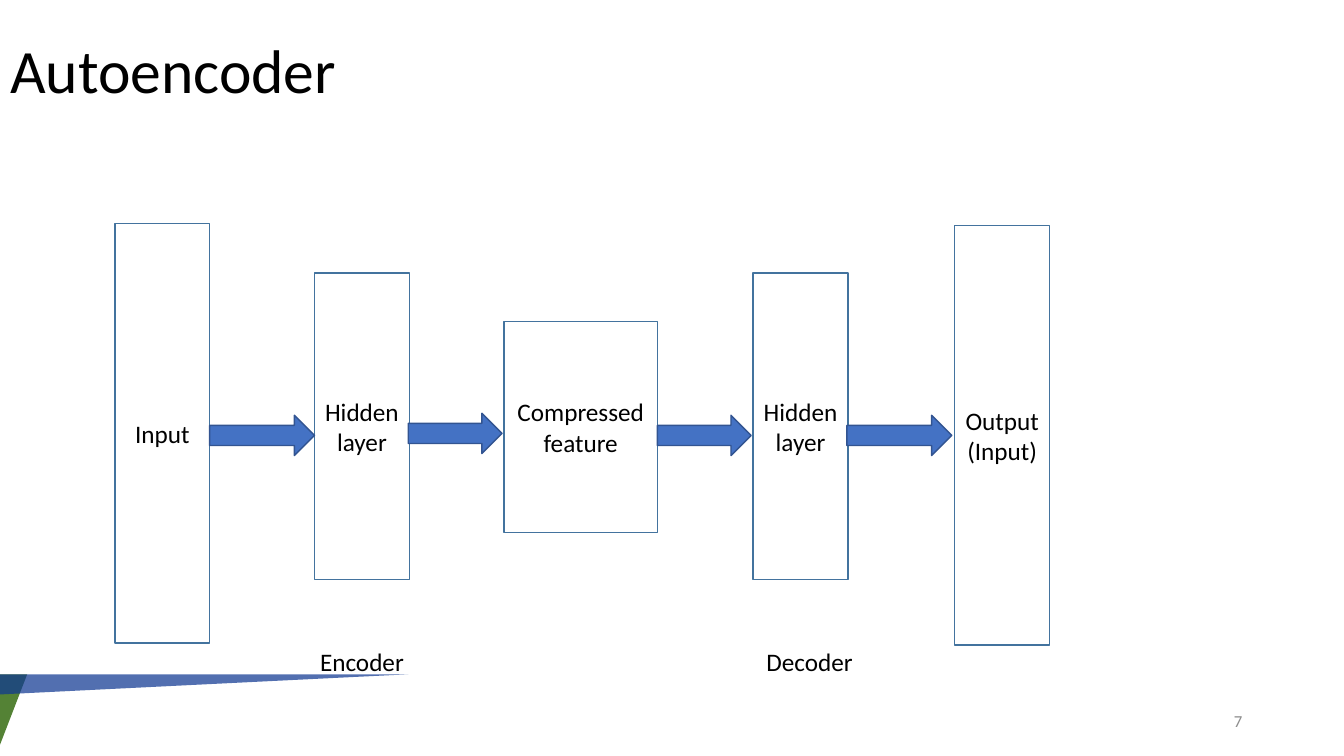
from lxml import etree
from pptx import Presentation
from pptx.dml.color import RGBColor
from pptx.enum.shapes import MSO_SHAPE
from pptx.enum.text import MSO_ANCHOR, MSO_AUTO_SIZE, PP_ALIGN
from pptx.oxml.ns import qn
from pptx.util import Pt

PX = 9144  # EMU per px, 100 px to the inch
FONT = "Calibri"
RECTANGLE, ARROW, TRIANGLE = MSO_SHAPE.RECTANGLE, MSO_SHAPE.RIGHT_ARROW, MSO_SHAPE.RIGHT_TRIANGLE
MIDDLE, NO_AUTOFIT = MSO_ANCHOR.MIDDLE, MSO_AUTO_SIZE.NONE
LEFT, CENTER, RIGHT = PP_ALIGN.LEFT, PP_ALIGN.CENTER, PP_ALIGN.RIGHT

BLACK = RGBColor(0x00, 0x00, 0x00)
WHITE = RGBColor(0xFF, 0xFF, 0xFF)
GRAY = RGBColor(0x8C, 0x8C, 0x8C)
LAYER_LINE = RGBColor(0x43, 0x73, 0x9E)
ARROW_FILL = RGBColor(0x44, 0x72, 0xC4)
ARROW_LINE = RGBColor(0x32, 0x54, 0x91)
GREEN = RGBColor(0x54, 0x82, 0x35)
NAVY = RGBColor(0x10, 0x38, 0x92)

prs = Presentation()
prs.slide_width, prs.slide_height = 1333 * PX, 750 * PX
slide = prs.slides.add_slide(prs.slide_layouts[5])


def add_filled(kind, box, fill, line=None):
    shape = slide.shapes.add_shape(kind, *(v * PX for v in box))
    shape.shadow.inherit = False
    shape.fill.solid()
    shape.fill.fore_color.rgb = fill
    if line is None:
        shape.line.fill.background()
    else:
        shape.line.color.rgb = line
        shape.line.width = Pt(1)
    return shape


def write(shape, text, size, color=BLACK, align=CENTER):
    frame = shape.text_frame
    frame.word_wrap = True
    frame.auto_size = NO_AUTOFIT
    frame.vertical_anchor = MIDDLE
    paragraph = frame.paragraphs[0]
    paragraph.alignment = align
    run = paragraph.add_run()
    run.text = text
    run.font.name = FONT
    run.font.size = Pt(size)
    run.font.color.rgb = color
    return paragraph


title = slide.shapes.title
title.left, title.top, title.width, title.height = 0, 0, 1150 * PX, 145 * PX
write(title, "Autoencoder", 44, align=LEFT).line_spacing = 0.9

# Network layers: text, left, top, width, height
layers = [
    ("Input", 114, 222, 94, 416),
    ("Hidden layer", 312, 271, 94, 304),
    ("Compressed feature", 500, 319, 152, 209),
    ("Hidden layer", 747, 271, 94, 304),
    ("Output(Input)", 947, 224, 94, 416),
]
for text, *box in layers:
    write(add_filled(RECTANGLE, box, WHITE, LAYER_LINE), text, 18)

# Arrows between layers: left, top, width
for left, top, width in [(208, 412, 104), (405, 410, 93), (652, 412, 93), (840, 412, 104)]:
    add_filled(ARROW, (left, top, width, 40), ARROW_FILL, ARROW_LINE)

for half, left in [("Encoder", 255), ("Decoder", 699)]:
    write(add_filled(RECTANGLE, (left, 625, 208, 62), WHITE, WHITE), half, 18)

# Corner decoration, right angle at the top left
green_corner = add_filled(TRIANGLE, (0, 669, 27, 70), GREEN)
navy_wedge = add_filled(TRIANGLE, (0, 669, 405, 20), NAVY)
for triangle in (green_corner, navy_wedge):
    triangle._element.spPr.find(qn("a:xfrm")).set("flipV", "1")
navy_color = navy_wedge._element.spPr.find(qn("a:solidFill")).find(qn("a:srgbClr"))
etree.SubElement(navy_color, qn("a:alpha")).set("val", "72000")

page_number = slide.shapes.add_textbox(942 * PX, 695 * PX, 300 * PX, 40 * PX)
write(page_number, "7", 12, GRAY, RIGHT)

prs.save("out.pptx")
